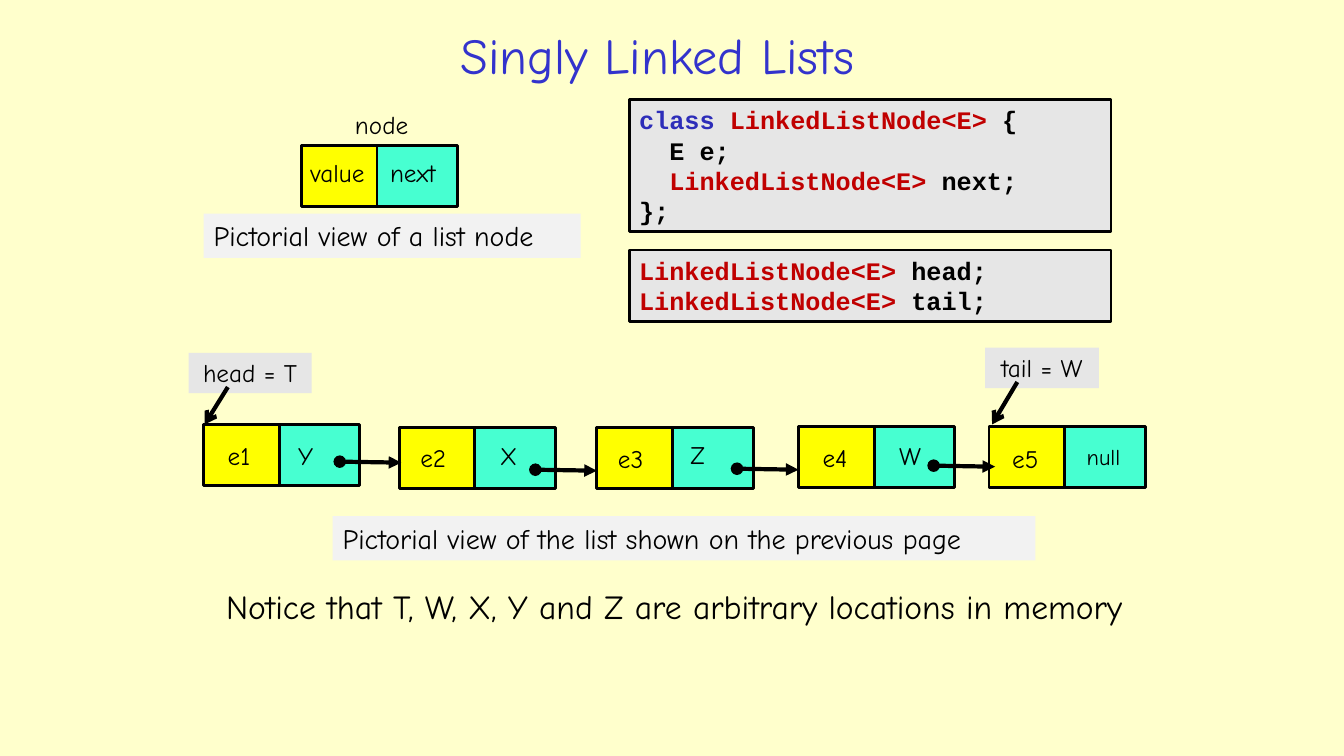
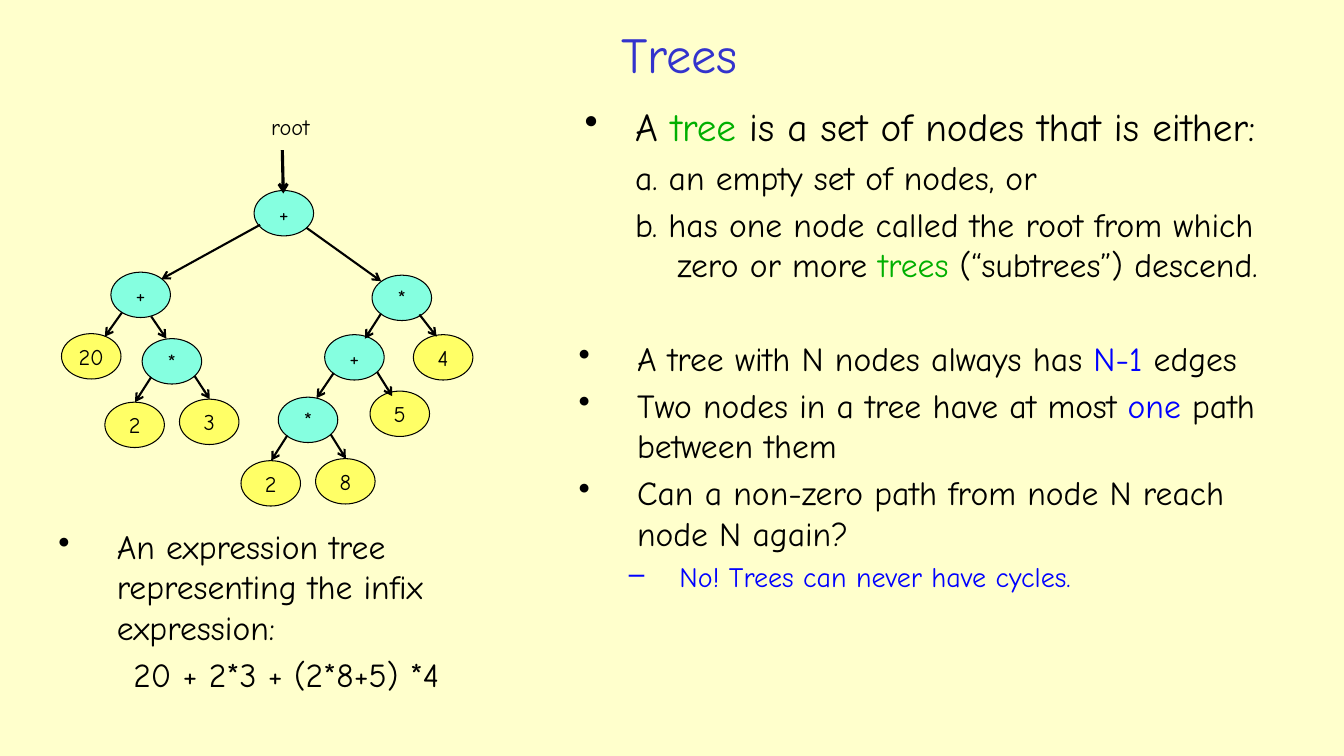
from dataclasses import dataclass

from lxml import etree
from pptx import Presentation
from pptx.dml.color import RGBColor
from pptx.enum.shapes import MSO_CONNECTOR as Connector, MSO_SHAPE as Shape
from pptx.enum.text import MSO_ANCHOR as Anchor, PP_ALIGN as Align
from pptx.oxml.ns import qn
from pptx.util import Inches, Pt


@dataclass(frozen=True)
class Theme:
    font: str = "Comic Neue"
    code_font: str = "Courier New"
    page: str = "FFFFCC"
    title: str = "3333CC"
    ink: str = "000000"
    panel: str = "E6E6E6"
    caption: str = "F2F2F2"
    value: str = "FFFF00"
    pointer: str = "47FFD1"
    leaf: str = "FFFF66"
    operator: str = "85FFE0"
    keyword: str = "2D2DB9"
    type_name: str = "C00000"
    term: str = "00AF00"
    answer: str = "0000FF"
    title_size: int = 36
    lead_size: int = 28
    body_size: int = 24
    note_size: int = 20
    label_size: int = 18
    small_size: int = 16


THEME = Theme()


@dataclass(frozen=True)
class TreeNode:
    """Place in the tree, edge start from the parent's corner, tip from its own."""
    label: str
    x: float
    y: float
    start: tuple = ()
    tip: tuple = ()
    children: tuple = ()


LOWER_LEFT, LOWER_RIGHT, TOP = (0.09, 0.38), (0.52, 0.37), (0.3, 0)

EXPRESSION = TreeNode("+", 1.91, 0.82, children=(
    TreeNode("+", 0.49, 1.63, (0.06, 0.34), (0.5, 0.07), (
        TreeNode("20", 0, 2.24, (0.11, 0.4), (0.43, 0.03)),
        TreeNode("*", 0.8, 2.29, (0.4, 0.44), (0.24, 0), (
            TreeNode("2", 0.43, 2.92, LOWER_LEFT, TOP),
            TreeNode("3", 1.17, 2.89, LOWER_RIGHT, TOP))))),
    TreeNode("*", 3.08, 1.66, LOWER_RIGHT, (0.09, 0.06), (
        TreeNode("+", 2.61, 2.25, LOWER_LEFT, (0.4, 0.04), (
            TreeNode("*", 2.15, 2.87, LOWER_LEFT, (0.38, 0.01), (
                TreeNode("2", 1.78, 3.5, LOWER_LEFT, TOP),
                TreeNode("8", 2.52, 3.48, LOWER_RIGHT, TOP))),
            TreeNode("5", 3.06, 2.81, LOWER_RIGHT, (0.22, 0.05)))),
        TreeNode("4", 3.49, 2.25, (0.47, 0.39), (0.23, 0.02))))))


def rgb(color):
    return RGBColor.from_string(color)


def add_runs(paragraph, parts, size, font=THEME.font, bold=None):
    """Write (text, colour) parts as runs."""
    for text, color in parts:
        run = paragraph.add_run()
        run.text = text
        run.font.name, run.font.size, run.font.bold = font, Pt(size), bold
        run.font.color.rgb = rgb(color)


def add_text(slide, box, text, size=THEME.label_size, align=Align.LEFT,
             color=THEME.ink, wrap=False, anchor=Anchor.TOP):
    frame = slide.shapes.add_textbox(*map(Inches, box)).text_frame
    frame.word_wrap, frame.vertical_anchor = wrap, anchor
    frame.paragraphs[0].alignment = align
    add_runs(frame.paragraphs[0], [(text, color)], size)


def add_block(slide, box, fill, line_width=0, kind=Shape.RECTANGLE):
    block = slide.shapes.add_shape(kind, *map(Inches, box))
    block.shadow.inherit = False
    block.fill.solid()
    block.fill.fore_color.rgb = rgb(fill)
    if line_width:
        block.line.color.rgb = rgb(THEME.ink)
        block.line.width = Pt(line_width)
    else:
        block.line.fill.background()
    return block


def add_label_block(slide, box, fill, text, size=THEME.label_size, align=Align.CENTER):
    frame = add_block(slide, box, fill).text_frame
    frame.word_wrap = align == Align.LEFT
    frame.vertical_anchor = Anchor.TOP
    frame.paragraphs[0].alignment = align
    add_runs(frame.paragraphs[0], [(text, THEME.ink)], size)


def add_arrow(slide, start, end, width, tail="arrow", head=None):
    arrow = slide.shapes.add_connector(Connector.STRAIGHT, *map(Inches, (*start, *end)))
    arrow.line.color.rgb = rgb(THEME.ink)
    arrow.line.width = Pt(width)
    outline = arrow.line._get_or_add_ln()
    if head:
        etree.SubElement(outline, qn("a:headEnd"), type=head)
    etree.SubElement(outline, qn("a:tailEnd"), type=tail)
    etree.SubElement(arrow._element.spPr, qn("a:effectLst"))


def new_slide(deck, title, title_box):
    slide = deck.slides.add_slide(deck.slide_layouts[6])
    slide.background.fill.solid()
    slide.background.fill.fore_color.rgb = rgb(THEME.page)
    add_text(slide, title_box, title, THEME.title_size, Align.CENTER,
             THEME.title, True, Anchor.MIDDLE)
    return slide


def add_code(slide, box, lines):
    panel = add_block(slide, box, THEME.panel, 2)
    frame = panel.text_frame
    frame.word_wrap, frame.vertical_anchor = True, Anchor.TOP
    for number, parts in enumerate(lines):
        paragraph = frame.add_paragraph() if number else frame.paragraphs[0]
        paragraph.alignment = Align.LEFT
        add_runs(paragraph, parts, THEME.label_size, THEME.code_font, True)


def add_list_node(slide, left, top, labels):
    """Draw a value cell and a pointer cell; labels are (text, dx, dy, width, size)."""
    value_width, pointer_width, height = 0.75, 0.8, 0.61
    add_block(slide, (left + value_width, top, pointer_width, height), THEME.pointer, 2)
    add_block(slide, (left, top, value_width, height), THEME.value, 2)
    for text, dx, dy, width, size in labels:
        add_text(slide, (left + dx, top + dy, width, 0.4), text, size)


def add_node_view(slide, left, top):
    size = THEME.label_size
    add_text(slide, (left + 1.39, top, 0.75, 0.4), "node", align=Align.CENTER)
    add_list_node(slide, left + 0.97, top + 0.4, [
        ("value", -0.01, 0.07, 0.79, size), ("next", 0.78, 0.07, 0.74, size)])
    add_label_block(slide, (left, top + 1.08, 3.74, 0.44), THEME.caption,
                    "Pictorial view of a list node", THEME.note_size, Align.LEFT)


def add_list_view(slide, left, top):
    size, small = THEME.label_size, THEME.small_size
    # node offset, its two labels, and where its link starts
    nodes = [
        (0, 0, ("e1", 0.14, 0.11, 0.45, size), ("Y", 0.84, 0.11, 0.36, size), (1.35, 0.37)),
        (1.94, 0.03, ("e2", 0.11, 0.1, 0.49, size), ("X", 0.9, 0.08, 0.38, size), (1.35, 0.42)),
        (3.9, 0.03, ("e3", 0.11, 0.11, 0.49, size), ("Z", 0.83, 0.07, 0.38, size), (1.39, 0.41)),
        (5.9, 0.02, ("e4", 0.14, 0.11, 0.49, size), ("W", 0.9, 0.09, 0.47, size), (1.34, 0.39)),
        (7.79, 0.02, ("e5", 0.13, 0.12, 0.49, size), ("null", 0.87, 0.12, 0.56, small), None),
    ]
    for dx, dy, value, pointer, _ in nodes:
        add_list_node(slide, left + dx, top + dy, (value, pointer))
    for dx, dy, _, _, link in nodes:
        if link:
            x, y = left + dx + link[0], top + dy + link[1]
            add_arrow(slide, (x, y), (x + 0.61, y + 0.01), 3, "triangle", "oval")

    tags = [
        ("head = T", (-0.15, -0.71, 1.22, 0.4), (0.24, -0.37), (0.01, 0)),
        ("tail = W", (7.75, -0.76, 1.13, 0.4), (8.07, -0.42), (7.82, 0)),
    ]
    for text, (dx, dy, width, height), start, end in tags:
        add_label_block(slide, (left + dx, top + dy, width, height), THEME.panel, text)
        add_arrow(slide, (left + start[0], top + start[1]),
                  (left + end[0], top + end[1]), 3)


def add_tree(slide, left, top, node, parent=None):
    """Draw a node, the edge from its parent, and its subtrees."""
    x, y = left + node.x, top + node.y
    oval = add_block(slide, (x, y, 0.59, 0.45),
                     THEME.operator if node.children else THEME.leaf, 0.75, Shape.OVAL)
    frame = oval.text_frame
    frame.word_wrap, frame.vertical_anchor = False, Anchor.MIDDLE
    frame.paragraphs[0].alignment = Align.CENTER
    add_runs(frame.paragraphs[0], [(node.label, THEME.ink)], THEME.small_size)
    if parent:
        add_arrow(slide, (left + parent.x + node.start[0], top + parent.y + node.start[1]),
                  (x + node.tip[0], y + node.tip[1]), 1.5)
    for child in node.children:
        add_tree(slide, left, top, child, node)


def add_expression_tree(slide, left, top):
    add_text(slide, (left + 1.98, top, 0.65, 0.37), "root", THEME.small_size)
    add_tree(slide, left, top, EXPRESSION)
    add_arrow(slide, (left + 2.19, top + 0.42), (left + 2.2, top + 0.85), 2.25)


def add_outline(slide, box, items):
    """Items are (parts, size, bullet, margin, indent, level, space before)."""
    frame = slide.shapes.add_textbox(*map(Inches, box)).text_frame
    frame.word_wrap = True
    for number, (parts, size, bullet, margin, indent, level, space) in enumerate(items):
        paragraph = frame.add_paragraph() if number else frame.paragraphs[0]
        paragraph.level = level
        paragraph.space_before = Pt(space if number else 0)
        properties = paragraph._p.get_or_add_pPr()
        properties.set("marL", str(Inches(margin)))
        properties.set("indent", str(Inches(indent)))
        if bullet:
            etree.SubElement(properties, qn("a:buChar"), char=bullet)
        else:
            etree.SubElement(properties, qn("a:buNone"))
        if not margin:
            paragraph.alignment = Align.CENTER
        add_runs(paragraph, parts, size)


def build_linked_lists(deck):
    slide = new_slide(deck, "Singly Linked Lists", (2.04, 0.26, 8.96, 0.55))
    node_type, ink = ("LinkedListNode<E>", THEME.type_name), THEME.ink
    add_node_view(slide, 2.02, 1.04)
    add_code(slide, (6.24, 0.99, 4.78, 1.31), [
        [("class ", THEME.keyword), node_type, (" {", ink)],
        [("  E e;", ink)],
        [("  ", ink), node_type, (" next;", ink)],
        [("};", ink)]])
    add_code(slide, (6.24, 2.48, 4.78, 0.71),
             [[node_type, (f" {name};", ink)] for name in ("head", "tail")])
    add_list_view(slide, 2.02, 4.21)
    add_label_block(slide, (3.3, 5.12, 6.97, 0.44), THEME.caption,
                    "Pictorial view of the list shown on the previous page",
                    THEME.note_size, Align.LEFT)
    add_text(slide, (0.53, 5.76, 12.31, 0.5),
             "Notice that T, W, X, Y and Z are arbitrary locations in memory",
             THEME.body_size, Align.CENTER, wrap=True)


def build_trees(deck):
    slide = new_slide(deck, "Trees", (1.97, 0.15, 9.54, 0.76))
    ink, term, answer, size = THEME.ink, THEME.term, THEME.answer, THEME.body_size
    gap, section_gap = 4.8, 38.4
    point, choice = ("•", 0.58, -0.58, 0), (None, 0.98, -0.42, 1)

    add_expression_tree(slide, 0.61, 1.07)
    add_outline(slide, (0.48, 5.17, 4.72, 2.17), [
        ([("An expression tree representing the infix expression:", ink)], size, *point, gap),
        ([("20 + 2*3 + (2*8+5) *4", ink)], size, None, 0, 0, 0, gap)])
    add_outline(slide, (5.64, 0.97, 7.4, 6.04), [
        ([("A ", ink), ("tree ", term), ("is a set of nodes that is either:", ink)],
         THEME.lead_size, "•", 0.56, -0.5, 0, gap),
        ([("a. an empty set of nodes, or", ink)], size, *choice, gap),
        ([("b. has one node called the root from which zero or more ", ink),
          ("trees ", term), ("(“subtrees”) descend.", ink)], size, *choice, gap),
        ([("A tree with N nodes always has ", ink), ("N-1 ", answer), ("edges", ink)],
         size, *point, section_gap),
        ([("Two nodes in a tree have at most ", ink), ("one ", answer),
          ("path between them", ink)], size, *point, gap),
        ([("Can a non-zero path from node N reach node N again?", ink)], size, *point, gap),
        ([("No! Trees can never have cycles.", answer)],
         THEME.note_size, "–", 1, -0.5, 1, gap)])


def main():
    deck = Presentation()
    deck.slide_width, deck.slide_height = Inches(13.33), Inches(7.5)
    build_linked_lists(deck)
    build_trees(deck)
    deck.save("out.pptx")


if __name__ == "__main__":
    main()
